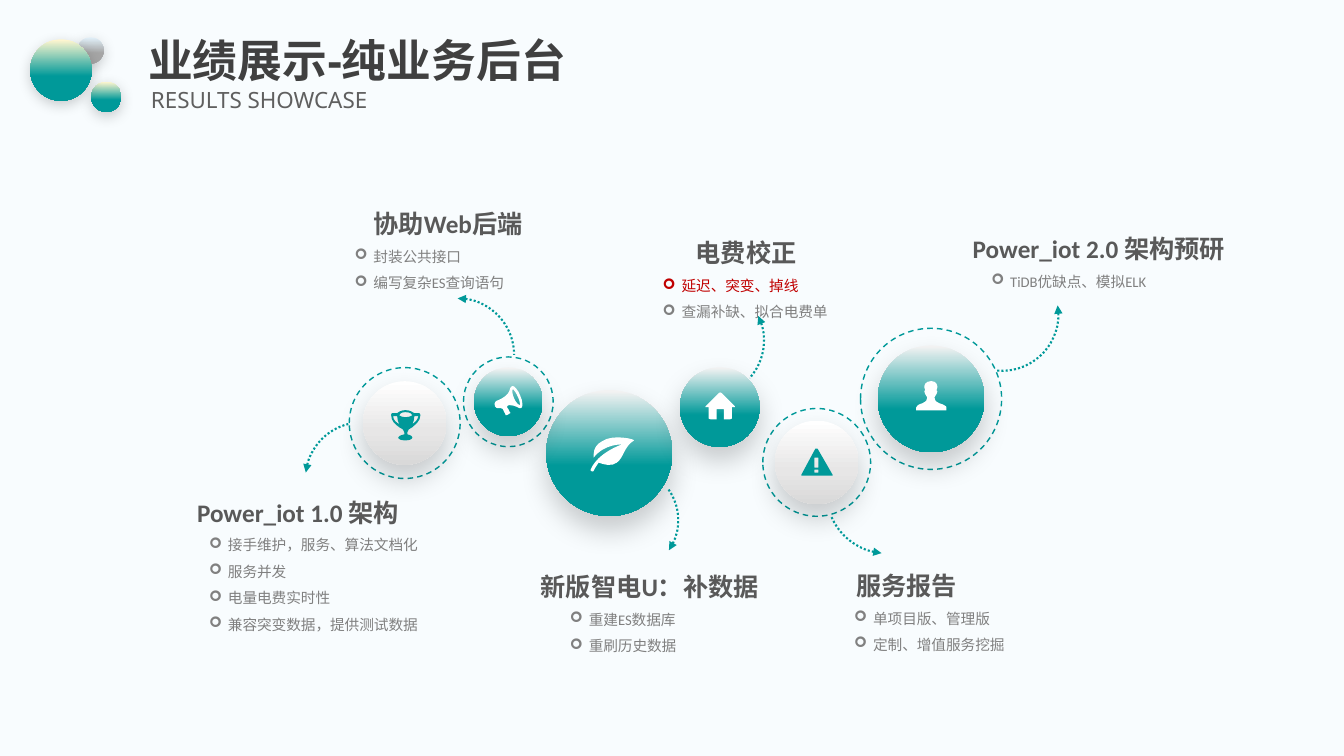
import copy
from collections import namedtuple

import lxml.etree
import pptx
import pptx.dml.color
import pptx.enum.dml
import pptx.enum.shapes
import pptx.enum.text
import pptx.oxml.ns
import pptx.util

Pt = pptx.util.Pt
qn = pptx.oxml.ns.qn
SHAPES = pptx.enum.shapes.MSO_SHAPE
DASHES = pptx.enum.dml.MSO_LINE
ALIGN = pptx.enum.text.PP_ALIGN

TEAL, WHITE, GREY, RED = "009999", "FFFFFF", "808080", "C00000"
TEAL_BALL = [(0.01, "F2F2F2"), (0.6, TEAL), (1, TEAL)]
WHITE_BALL = [(0, WHITE), (0.6, "E7E6E6"), (1, "D9D9D9")]
CREAM_BALL = [(0.01, "FFF6CF"), (0.6, TEAL), (1, TEAL)]
SILVER_BALL = [(0.01, "E1F0F9"), (0.6, "A5A5A5"), (1, "A5A5A5")]

ICON_UNIT = 0.72
LEAF = ("M 12 8 C 3 13 4 21 4 24 C 15 10 32 11 32 11 C 32 11 8 19 1 36 C 0 37 4 39 4 37 "
        "C 6 33 9 29 9 29 C 14 31 22 33 27 29 C 34 24 34 13 44 7 C 46 6 23 0 12 8")
TROPHY = ("M 16 22 C 16 20 18 18 21 17 C 24 14 29 11 29 5 C 29 4 28 3 28 3 L 23 3 "
          "C 21 2 19 0 14 0 C 10 0 7 2 6 3 L 1 3 C 0 3 0 4 0 5 C 0 11 4 14 8 17 "
          "C 11 18 13 20 13 22 L 13 24 C 9 25 7 26 7 27 C 7 29 10 30 14 30 "
          "C 18 30 21 29 21 27 C 21 26 20 25 16 24 "
          "M 21 14 C 22 12 23 9 23 6 L 27 6 C 26 10 24 12 21 14 "
          "M 14 2 C 19 2 21 4 21 5 C 21 5 19 7 14 7 C 10 7 8 5 8 5 C 8 4 10 2 14 2 "
          "M 2 6 L 6 6 C 6 9 7 12 8 14 C 5 12 2 10 2 6")
PERSON = ("M 23 22 C 19 20 18 19 18 16 C 18 15 19 16 20 13 C 20 11 21 13 21 10 "
          "C 21 9 20 9 20 9 C 20 9 21 7 21 6 C 21 4 20 0 15 0 C 9 0 8 4 8 6 "
          "C 8 7 9 9 9 9 C 9 9 8 9 8 10 C 8 13 9 11 9 13 C 10 16 11 15 11 16 "
          "C 11 19 10 20 6 22 C 2 23 0 25 0 26 L 0 29 L 30 29 L 30 26 C 30 25 27 23 23 22")
HOUSE = ("M 30 14 L 17 1 C 16 0 15 0 14 1 L 1 14 C 0 15 1 15 2 15 L 4 15 L 4 26 "
         "C 4 26 4 27 6 27 L 12 27 L 12 17 L 19 17 L 19 27 L 25 27 C 27 27 27 26 27 26 "
         "L 27 15 L 29 15 C 29 15 31 15 30 14")
MEGAPHONE = ("M 26 10 C 24 5 20 0 18 1 C 14 2 20 9 2 16 C 1 17 0 19 1 21 C 1 22 4 24 5 23 "
             "L 7 23 C 8 24 9 23 9 24 C 9 25 11 28 11 28 C 11 29 12 30 12 30 "
             "C 13 30 15 29 16 28 C 17 28 17 28 16 27 C 16 27 15 26 15 25 "
             "C 15 25 14 23 13 22 C 13 21 14 20 15 20 C 23 20 25 24 27 23 "
             "C 29 23 29 16 26 10 "
             "M 26 20 C 25 20 22 18 20 13 C 18 9 18 4 19 4 C 19 4 22 7 24 12 C 26 16 26 20 26 20")
WARNING = ("M 31 26 L 16 0 L 14 0 L 0 26 L 0 27 L 31 27 "
           "M 17 24 L 13 24 L 13 21 L 17 21 M 17 19 L 13 19 L 13 9 L 17 9")

# Centre, diameters of ball and ring, icon and its top left corner.
Stop = namedtuple("Stop", "x y ball ring colours icon icon_at icon_colour")
STOPS = [
    Stop(435.2, 323.6, 90, 0, TEAL_BALL, LEAF, (421.2, 309.6), WHITE),
    Stop(289.1, 302.2, 59.8, 79.2, WHITE_BALL, TROPHY, (279.4, 293), TEAL),
    Stop(665.1, 284.9, 76.3, 100.8, TEAL_BALL, PERSON, (654.5, 272.2), WHITE),
    Stop(514.1, 290.8, 56.9, 0, TEAL_BALL, HOUSE, (503.3, 280.1), WHITE),
    Stop(363.1, 287, 49, 64.1, TEAL_BALL, MEGAPHONE, (352.8, 275), WHITE),
    Stop(583.4, 330.3, 59.8, 77, WHITE_BALL, WARNING, (572.4, 320.4), TEAL),
]
# Left, top, size, start and end adjustments, rotation, mirrored.
ARROWS = [
    (286.6, 213.1, 80.6, 162, 0, 0, False),
    (465.1, 203, 80.6, 200.42, 25.04, 0, False),
    (675.4, 184.3, 80.6, 178.65, 25.04, 53.1, False),
    (590.4, 308.9, 86.4, 57.08, 94.47, 0, False),
    (408.2, 333.4, 76.3, 87.41, 129.34, 0, True),
    (218.2, 301.7, 80.6, 111.8, 153.58, 0, False),
]
LABELS = [
    ((567.1, 393, 161.3, 78.5), "服务报告", ["单项目版、管理版", "定制、增值服务挖掘"]),
    ((106.3, 340.8, 213.1, 116.6), "Power_iot 1.0 架构",
     ["接手维护，服务、算法文档化", "服务并发", "电量电费实时性", "兼容突变数据，提供测试数据"]),
    ((210.2, 134.5, 219.6, 78.5), "协助Web后端", ["封装公共接口", "编写复杂ES查询语句"]),
    ((430.3, 155.5, 205.2, 78.5), "电费校正", ["延迟、突变、掉线", "查漏补缺、拟合电费单"]),
    ((364, 393.8, 200.2, 78.5), "新版智电U：补数据", ["重建ES数据库", "重刷历史数据"]),
    ((665, 152.6, 239.8, 59), "Power_iot 2.0 架构预研", ["TiDB优缺点、模拟ELK"]),
]
HIGHLIGHTS = {"延迟、突变、掉线"}


def rgb(colour):
    return pptx.dml.color.RGBColor.from_string(colour)


def format_para(para, size, colour, font="Calibri", bold=False, align=ALIGN.LEFT, spacing=1.5):
    para.alignment = align
    para.line_spacing = spacing
    for span in para.runs:
        span.font.size, span.font.name, span.font.bold = Pt(size), font, bold
        span.font.color.rgb = rgb(colour)


def add_outline(slide, kind, left, top, size, width, dash):
    """Add an unfilled square-boxed shape with a broken teal line."""
    shape = slide.shapes.add_shape(kind, Pt(left), Pt(top), Pt(size), Pt(size))
    shape.shadow.inherit = False
    shape.fill.background()
    shape.line.color.rgb = rgb(TEAL)
    shape.line.width = Pt(width)
    shape.line.dash_style = dash
    return shape


def add_ball(slide, left, top, size, colours, blur, distance):
    ball = slide.shapes.add_shape(SHAPES.OVAL, Pt(left), Pt(top), Pt(size), Pt(size))
    ball.line.fill.background()
    ball.fill.gradient()
    ball.fill.gradient_angle = 270
    properties = ball._element.spPr
    stop_list = properties.find(".//" + qn("a:gsLst"))
    stop_list.append(copy.deepcopy(stop_list[0]))
    for stop, (position, colour) in zip(ball.fill.gradient_stops, colours):
        stop.position, stop.color.rgb = position, rgb(colour)
    ball.shadow.inherit = False
    shadow = lxml.etree.SubElement(
        properties.find(qn("a:effectLst")), qn("a:outerShdw"), blurRad=str(Pt(blur)),
        dist=str(Pt(distance)), dir="5400000", algn="ctr", rotWithShape="0")
    black = lxml.etree.SubElement(shadow, qn("a:srgbClr"), val="000000")
    lxml.etree.SubElement(black, qn("a:alpha"), val="20000")


def read_segments(outline, left, top):
    """Return the points of each M, L or C command, placed on the slide."""
    segments = []
    for command in outline.replace("L", "|").replace("C", "|").split("|"):
        numbers = [float(word) for word in command.split()]
        segments.append([(Pt(left + x * ICON_UNIT), Pt(top + y * ICON_UNIT))
                         for x, y in zip(numbers[::2], numbers[1::2])])
    return segments


def add_icon(slide, left, top, outlines, colour):
    """Draw the corners as a freeform, then bend its curved segments."""
    contours = [read_segments(outline, left, top) for outline in outlines.split("M")[1:]]
    builder = slide.shapes.build_freeform(*contours[0][0][0], scale=1.0)
    for index, contour in enumerate(contours):
        if index:
            builder.move_to(*contour[0][0])
        builder.add_line_segments([segment[-1] for segment in contour[1:]], close=True)
    icon = builder.convert_to_shape()
    segments = [segment for contour in contours for segment in contour[1:]]
    lines = list(icon._element.spPr.iter(qn("a:lnTo")))
    for line, segment in zip(lines, segments):
        if len(segment) == 3:
            curve = lxml.etree.Element(qn("a:cubicBezTo"))
            for x, y in segment:
                lxml.etree.SubElement(curve, qn("a:pt"), x=str(x - icon.left), y=str(y - icon.top))
            line.getparent().replace(line, curve)
    icon.shadow.inherit = False
    icon.fill.solid()
    icon.fill.fore_color.rgb = rgb(colour)
    icon.line.fill.background()


def add_arrow(slide, left, top, size, start, end, rotation, mirrored):
    arrow = add_outline(slide, SHAPES.ARC, left, top, size, 1.5, DASHES.ROUND_DOT)
    arrow.adjustments[0], arrow.adjustments[1] = start, end
    arrow.rotation = rotation
    if mirrored:
        arrow._element.spPr.xfrm.set("flipH", "1")
    lxml.etree.SubElement(arrow.line._get_or_add_ln(), qn("a:headEnd"), type="triangle")


def add_label(slide, box, heading, items):
    frame = slide.shapes.add_textbox(*map(Pt, box)).text_frame
    frame.word_wrap = True
    frame.auto_size = pptx.enum.text.MSO_AUTO_SIZE.SHAPE_TO_FIT_TEXT
    frame.text = heading
    format_para(frame.paragraphs[0], 18, "595959", bold=True, align=ALIGN.CENTER)
    for item in items:
        para = frame.add_paragraph()
        para.text, para.level = item, 1
        format_para(para, 10.5, RED if item in HIGHLIGHTS else GREY)
        properties = para._p.get_or_add_pPr()
        properties.set("marL", str(Pt(49.5)))
        properties.set("indent", str(Pt(-13.5)))
        lxml.etree.SubElement(properties, qn("a:buFont"), typeface="Wingdings", charset="2")
        lxml.etree.SubElement(properties, qn("a:buChar"), char="➢")


def add_header(slide, left, top):
    for x, y, size, colours in ((33.8, 2.9, 18.7, SILVER_BALL), (43.6, 34.6, 21.6, CREAM_BALL),
                                (0, 4.3, 43.9, CREAM_BALL)):
        add_ball(slide, left + x, top + y, size, colours, 10, 3)
    title = slide.shapes.title
    title.left, title.top, title.width, title.height = map(Pt, (left + 77, top, 828, 42.5))
    subtitle = slide.shapes.add_textbox(*map(Pt, (left + 79.2, top + 36.2, 660.2, 24.5)))
    for shape, text, size, colour, bold in ((title, "业绩展示-纯业务后台", 32, "404040", True),
                                            (subtitle, "RESULTS SHOWCASE", 16, "5F5F5F", False)):
        frame = shape.text_frame
        frame.text = text
        frame.word_wrap = True
        frame.vertical_anchor = pptx.enum.text.MSO_ANCHOR.MIDDLE
        format_para(frame.paragraphs[0], size, colour, "Noto Sans", bold, spacing=0.9)


def add_results(slide):
    for stop in STOPS:
        if stop.ring:
            add_outline(slide, SHAPES.OVAL, stop.x - stop.ring / 2, stop.y - stop.ring / 2,
                        stop.ring, 1, DASHES.DASH)
    for stop in STOPS:
        add_ball(slide, stop.x - stop.ball / 2, stop.y - stop.ball / 2, stop.ball,
                 stop.colours, 20, 10)
        add_icon(slide, *stop.icon_at, stop.icon, stop.icon_colour)
    for arrow in ARROWS:
        add_arrow(slide, *arrow)
    for label in LABELS:
        add_label(slide, *label)


def main():
    deck = pptx.Presentation()
    deck.slide_width, deck.slide_height = Pt(960), Pt(540)
    slide = deck.slides.add_slide(deck.slide_layouts[5])
    slide.background.fill.solid()
    slide.background.fill.fore_color.rgb = rgb("F8FCFE")
    add_header(slide, 21.6, 23.8)
    add_results(slide)
    deck.save("out.pptx")


if __name__ == "__main__":
    main()
